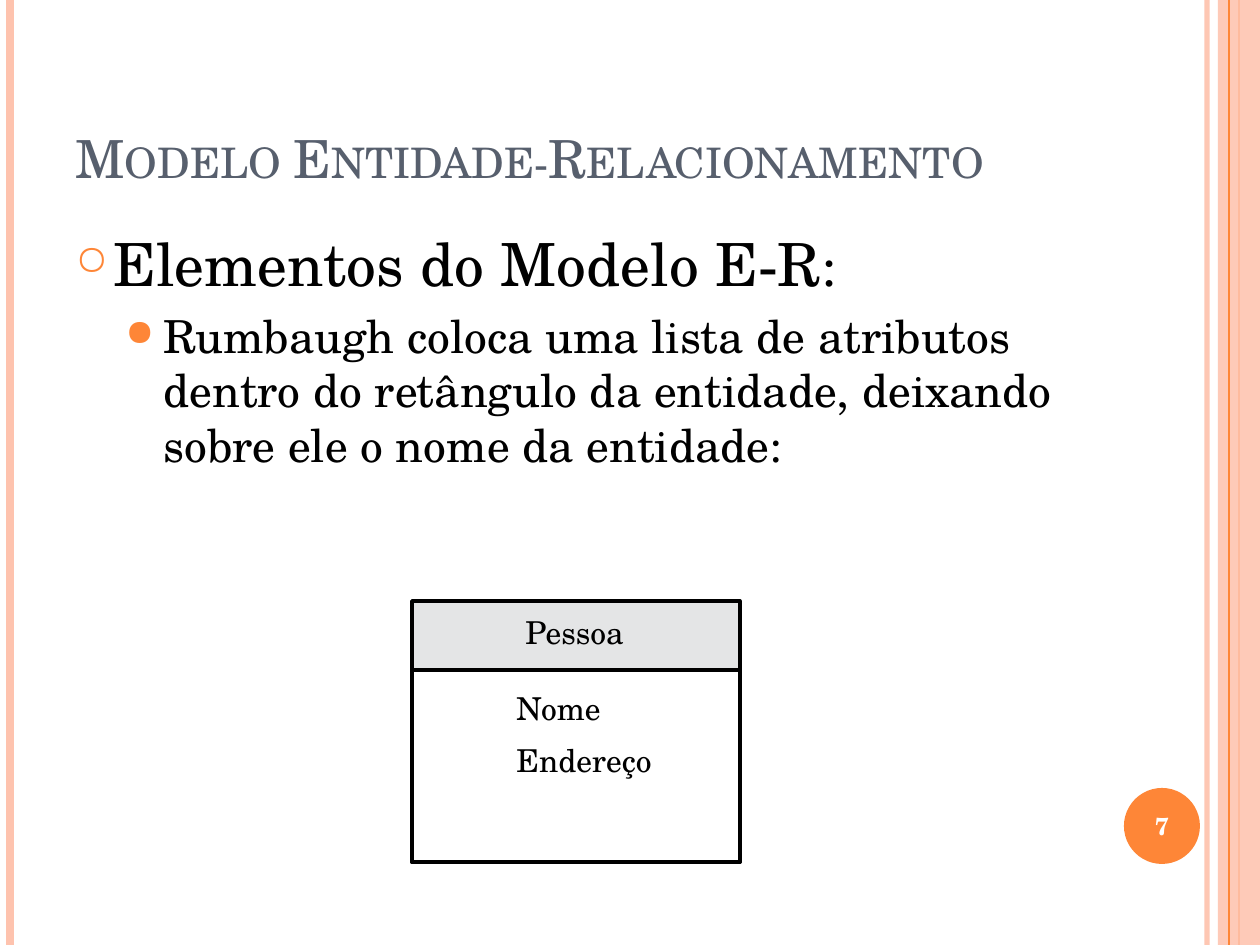
import pptx
import pptx.util
import pptx.dml.color
import pptx.enum.shapes
import pptx.enum.text
import pptx.oxml
import pptx.oxml.ns
from lxml import etree

RGB = pptx.dml.color.RGBColor
PALE, ORANGE = RGB(0xFE, 0xC3, 0xAE), RGB(0xFE, 0x86, 0x37)
GREY, SLATE = RGB(0xE4, 0xE5, 0xE6), RGB(0x57, 0x5F, 0x6D)
BLACK, WHITE = RGB(0, 0, 0), RGB(255, 255, 255)
FONT = "TeX Gyre Schola"
PX = 914400 // 126
W, H = 1260, 945
SHAPE = pptx.enum.shapes.MSO_SHAPE
ANCHOR = pptx.enum.text.MSO_ANCHOR
ALIGN = pptx.enum.text.PP_ALIGN

# Content
TITLE = "Modelo Entidade-Relacionamento"
# runs (text, size), left margin px, space before pt, bullet, bullet size %
BODY = [
    ([("Elementos do Modelo E-R", 34), (":", 31)], 38, 0, "○", 70),
    ([("Rumbaugh coloca uma lista de atributos dentro do retângulo da "
       "entidade, deixando sobre ele o nome da entidade:", 26)], 88, 5.2, "●", 80),
]
HANGING = 38
PAGE = "7"
# Entity labels: text, left, top, width
LABELS = [("Pessoa", 513, 607, 126), ("Nome", 504, 683, 111),
          ("Endereço", 504, 735, 163)]
ENTITY = (412, 601, 328, 261)
HEADER_H = 69
# Vertical stripes: x, colour, width pt, opacity %
STRIPES_BACK = [(1207, PALE, 3, 93), (10, PALE, 4.5, 100), (1239, ORANGE, 1.5, 100)]
STRIPES_FRONT = [(1229, ORANGE, 0.75, 100)]
BAND = (1218, 0, 42, H)

prs = pptx.Presentation()
prs.slide_width, prs.slide_height = W * PX, H * PX
s = prs.slides.add_slide(prs.slide_layouts[6])


def sub(parent, tag, **attrs):
    return etree.SubElement(parent, pptx.oxml.ns.qn(tag), attrs)


def set_opacity(part, percent):
    for clr in part.iter(pptx.oxml.ns.qn("a:srgbClr")):
        sub(clr, "a:alpha", val=str(percent * 1000))


def add_stripe(x, color, width, opacity):
    c = s.shapes.add_connector(pptx.enum.shapes.MSO_CONNECTOR.STRAIGHT,
                               x * PX, 0, x * PX, H * PX)
    c.line.color.rgb = color
    c.line.width = pptx.util.Pt(width)
    if opacity < 100:
        set_opacity(c._element.spPr, opacity)
    sub(c._element.spPr, "a:effectLst")


def add_shape(kind, box, fill=None, line=None):
    sp = s.shapes.add_shape(kind, *(v * PX for v in box))
    sp.shadow.inherit = False
    if fill is None:
        sp.fill.background()
    else:
        sp.fill.solid()
        sp.fill.fore_color.rgb = fill
    if line is None:
        sp.line.fill.background()
    else:
        sp.line.color.rgb = line
        sp.line.width = pptx.util.Pt(2)
    return sp


def add_text(box, wrap=True, anchor=ANCHOR.TOP):
    tf = s.shapes.add_textbox(*(v * PX for v in box)).text_frame
    tf.word_wrap = wrap
    tf.vertical_anchor = anchor
    return tf


def add_run(p, text, size, color=BLACK, bold=False):
    r = p.add_run()
    r.text = text
    r.font.name, r.font.size = FONT, pptx.util.Pt(size)
    r.font.color.rgb, r.font.bold = color, bold
    return r


# Side decoration
for stripe in STRIPES_BACK:
    add_stripe(*stripe)
band = add_shape(SHAPE.RECTANGLE, BAND, PALE)
set_opacity(band._element.spPr, 87)
for stripe in STRIPES_FRONT:
    add_stripe(*stripe)
add_shape(SHAPE.OVAL, (1124, 788, 76, 76), ORANGE)

# Title
tf = add_text((63, 38, 1029, 157), anchor=ANCHOR.BOTTOM)
r = add_run(tf.paragraphs[0], TITLE, 30, SLATE)
r._r.get_or_add_rPr().set("cap", "small")

# Bulleted body
tf = add_text((63, 221, 1029, 600))
for i, (runs, margin, before, bullet, percent) in enumerate(BODY):
    p = tf.paragraphs[0] if i == 0 else tf.add_paragraph()
    p.level = i
    pPr = p._p.get_or_add_pPr()
    pPr.set("marL", str(margin * PX))
    pPr.set("indent", str(-HANGING * PX))
    sub(sub(pPr, "a:buClr"), "a:srgbClr", val=str(ORANGE))
    sub(pPr, "a:buSzPct", val=str(percent * 1000))
    sub(pPr, "a:buChar", char=bullet)
    p.space_before = pptx.util.Pt(before)
    for text, size in runs:
        add_run(p, text, size)

# Page number
tf = add_text((1120, 790, 84, 72), anchor=ANCHOR.MIDDLE)
tf.paragraphs[0].alignment = ALIGN.CENTER
add_run(tf.paragraphs[0], PAGE, 14, WHITE, True)

# Entity box: header, attribute area, outer frame
x, y, w, h = ENTITY
add_shape(SHAPE.RECTANGLE, (x, y, w, HEADER_H), GREY)
add_shape(SHAPE.RECTANGLE, (x, y + HEADER_H, w, h - HEADER_H), line=BLACK)
add_shape(SHAPE.RECTANGLE, ENTITY, line=BLACK)
for text, left, top, width in LABELS:
    tf = add_text((left, top, width, 50), wrap=False)
    add_run(tf.paragraphs[0], text, 18)

prs.save("out.pptx")
